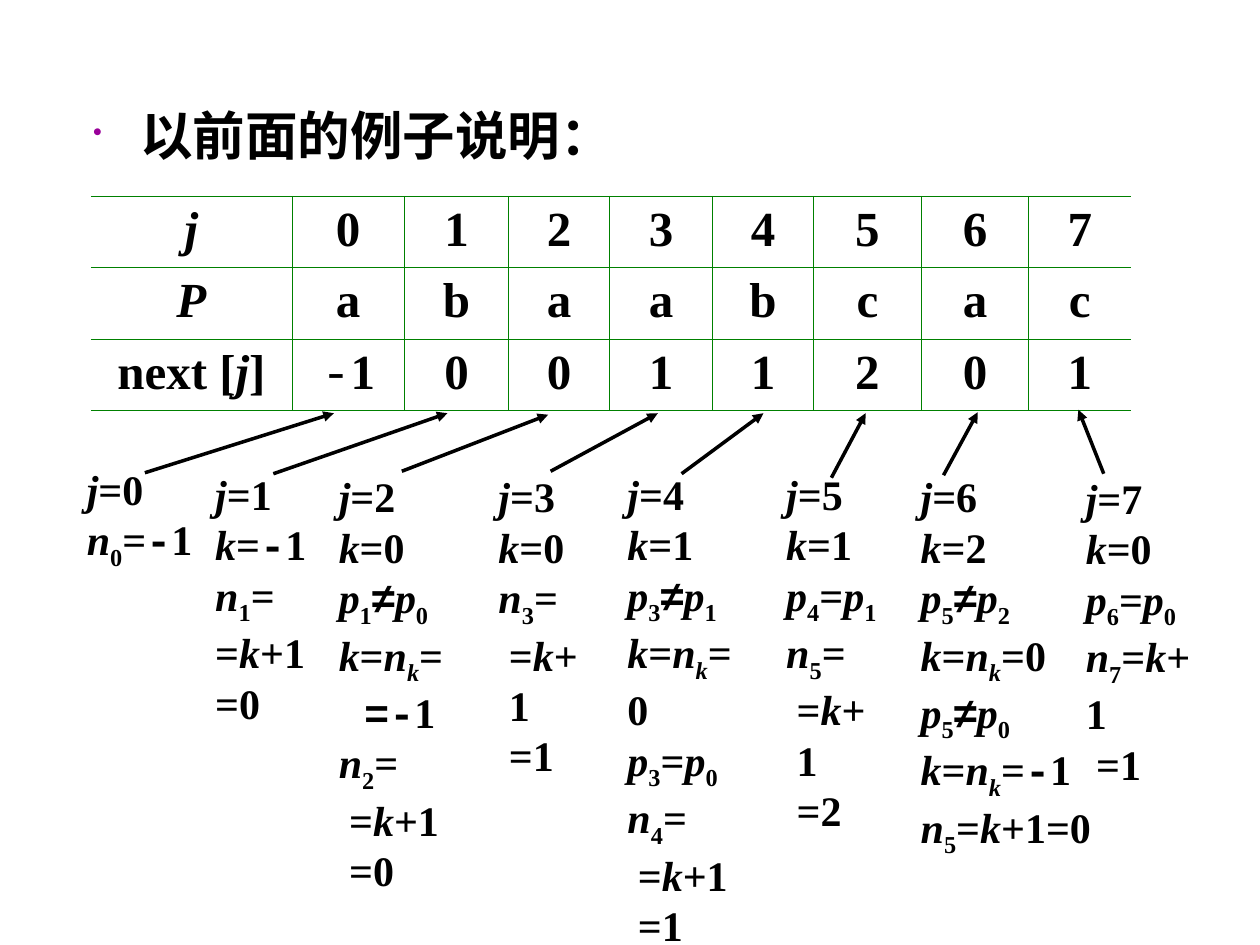
from itertools import groupby
from lxml import etree
from pptx import Presentation
from pptx.dml.color import RGBColor
from pptx.enum.shapes import MSO_CONNECTOR
from pptx.enum.text import MSO_AUTO_SIZE, PP_ALIGN
from pptx.oxml.ns import qn
from pptx.util import Cm, Pt

LINE = MSO_CONNECTOR.STRAIGHT
FIT = MSO_AUTO_SIZE.SHAPE_TO_FIT_TEXT
MID = PP_ALIGN.CENTER
SERIF, SANS, MONO = "Times New Roman", "Arial", "Courier New"
FACES = {"-": MONO, "≠": SANS}


def hue(code):
    return RGBColor.from_string(code)


def write(para, text, size, slant, dash=True):
    marks, mark = [], ""
    for char in text:
        if char in "_`":
            mark = char
            continue
        face = MONO if mark == "`" else FACES.get(char, SERIF)
        marks.append((char, (face, char in slant, mark == "_")))
        mark = ""
    for (face, tilt, low), group in groupby(marks, lambda pair: pair[1]):
        run = para.add_run()
        run.text = "".join(char for char, _ in group)
        look = {"name": face, "size": Pt(size), "italic": tilt,
                "bold": dash or face != MONO}
        for key, value in look.items():
            setattr(run.font, key, value)
        run.font.color.rgb = hue("000000")
        if low:
            run.font._element.set("baseline", "-25000")


deck = Presentation()
deck.slide_width, deck.slide_height = Cm(25.4), Cm(19.05)
slide = deck.slides.add_slide(deck.slide_layouts[6])
shapes = slide.shapes

head = shapes.add_textbox(Cm(1.63), Cm(1.96), Cm(22.02), Cm(1.88)).text_frame
head.word_wrap = True
para = head.paragraphs[0]
props = para._p.get_or_add_pPr()
props.set("marL", str(Cm(0.95)))
props.set("indent", str(-Cm(0.95)))
tint = etree.SubElement(props, qn("a:buClr"))
etree.SubElement(tint, qn("a:srgbClr"), val="990099")
etree.SubElement(props, qn("a:buSzPct"), val="50000")
etree.SubElement(props, qn("a:buChar"), char="•")
run = para.add_run()
run.text = "以前面的例子说明："
for key, value in {"name": SANS, "size": Pt(30), "bold": True}.items():
    setattr(run.font, key, value)
run.font.color.rgb = hue("000000")

rows = [
    ["j", *"01234567"],
    ["P", *"abaabcac"],
    ["next [j]", "-1", *"0011201"],
]
wide = [4.06, 2.26, 2.11, 2.03, 2.08, 2.03, 2.18, 2.16, 2.06]
grid = shapes.add_table(3, 9, Cm(1.83), Cm(3.96), Cm(20.97), Cm(4.32)).table
for key in ("first_row", "horz_banding"):
    setattr(grid, key, False)
for col, width in zip(grid.columns, wide):
    col.width = Cm(width)
for r, row in enumerate(rows):
    grid.rows[r].height = Cm(1.44)
    for c, text in enumerate(row):
        cell = grid.cell(r, c)
        cell.fill.background()
        para = cell.text_frame.paragraphs[0]
        para.alignment = MID
        write(para, text, 28, "jP", False)
        props = cell._tc.get_or_add_tcPr()
        bare = {"L": c == 0, "R": c == len(row) - 1}
        for spot, side in enumerate("LRTB"):
            edge = etree.Element(qn("a:ln" + side), w=str(Pt(0.75)))
            if bare.get(side):
                etree.SubElement(edge, qn("a:noFill"))
            else:
                fill = etree.SubElement(edge, qn("a:solidFill"))
                etree.SubElement(fill, qn("a:srgbClr"), val="008000")
            props.insert(spot, edge)

notes = [
    (1.5, 9.22, 2.64, 2.44, "j=0 n_0=-1"),
    (4.09, 9.32, 2.34, 5.49, "j=1 k=-1 n_1= =k+1 =0"),
    (6.58, 9.37, 2.62, 8.81, "j=2 k=0 p_1≠p_0 k=n_k= >`=-1 n_2= >=k+1 >=0"),
    (9.8, 9.37, 2.51, 5.49, "j=3 k=0 n_3= >=k+1 >=1"),
    (12.4, 9.32, 3.02, 8.94, "j=4 k=1 p_3≠p_1 k=n_k=0 p_3=p_0 n_4= >=k+1 >=1"),
    (15.6, 9.32, 2.51, 6.63, "j=5 k=1 p_4=p_1 n_5= >=k+1 >=2"),
    (18.31, 9.37, 3.94, 8.08,
     "j=6 k=2 p_5≠p_2 k=n_k=0 p_5≠p_0 k=n_k=-1 n_5=k+1=0"),
    (21.64, 9.4, 3.02, 5.61, "j=7 k=0 p_6=p_0 n_7=k+1 >=1"),
]
for *place, text in notes:
    frame = shapes.add_textbox(*map(Cm, place)).text_frame
    for key, value in {"word_wrap": False, "auto_size": FIT}.items():
        setattr(frame, key, value)
    for n, step in enumerate(text.split()):
        para = frame.add_paragraph() if n else frame.paragraphs[0]
        if step[0] == ">":
            inset = Cm(0.51 if "`" in step else 0.21)
            para._p.get_or_add_pPr().set("marL", str(inset))
        write(para, step.lstrip(">"), 24, "jknp")

arrows = [
    (2.92, 9.53, 6.73, 8.33),
    (5.51, 9.55, 9.02, 8.33),
    (8.1, 9.5, 11.05, 8.36),
    (11.1, 9.5, 13.26, 8.33),
    (13.74, 9.55, 15.39, 8.33),
    (16.76, 9.63, 17.45, 8.33),
    (19.02, 9.58, 19.71, 8.31),
    (22.25, 9.55, 21.74, 8.26),
]
for ends in arrows:
    arrow = shapes.add_connector(LINE, *map(Cm, ends))
    arrow.line.width = Pt(2)
    arrow.line.color.rgb = hue("000000")
    etree.SubElement(arrow.line._get_or_add_ln(), qn("a:tailEnd"), type="triangle")
    etree.SubElement(arrow._element.spPr, qn("a:effectLst"))

deck.save("out.pptx")
